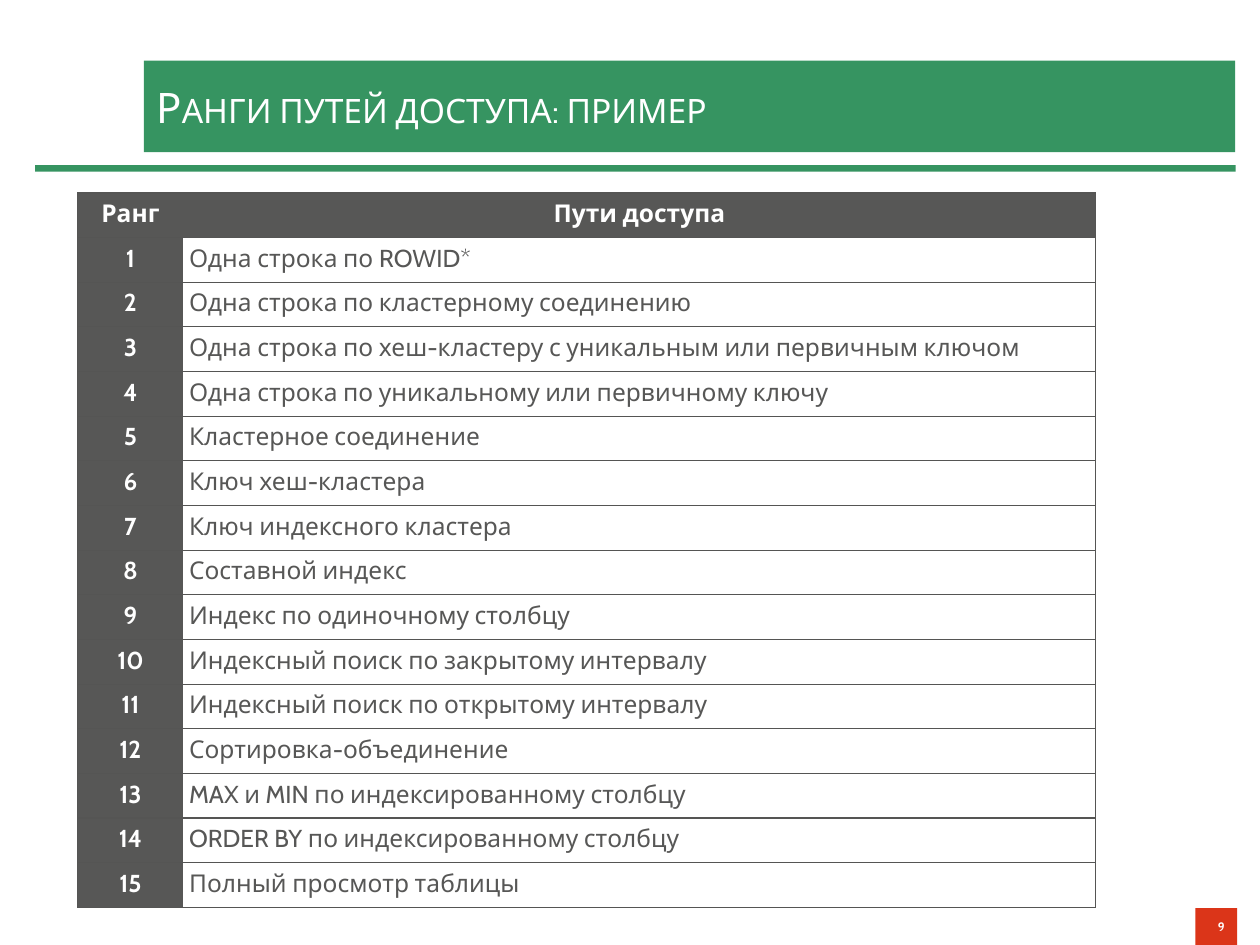
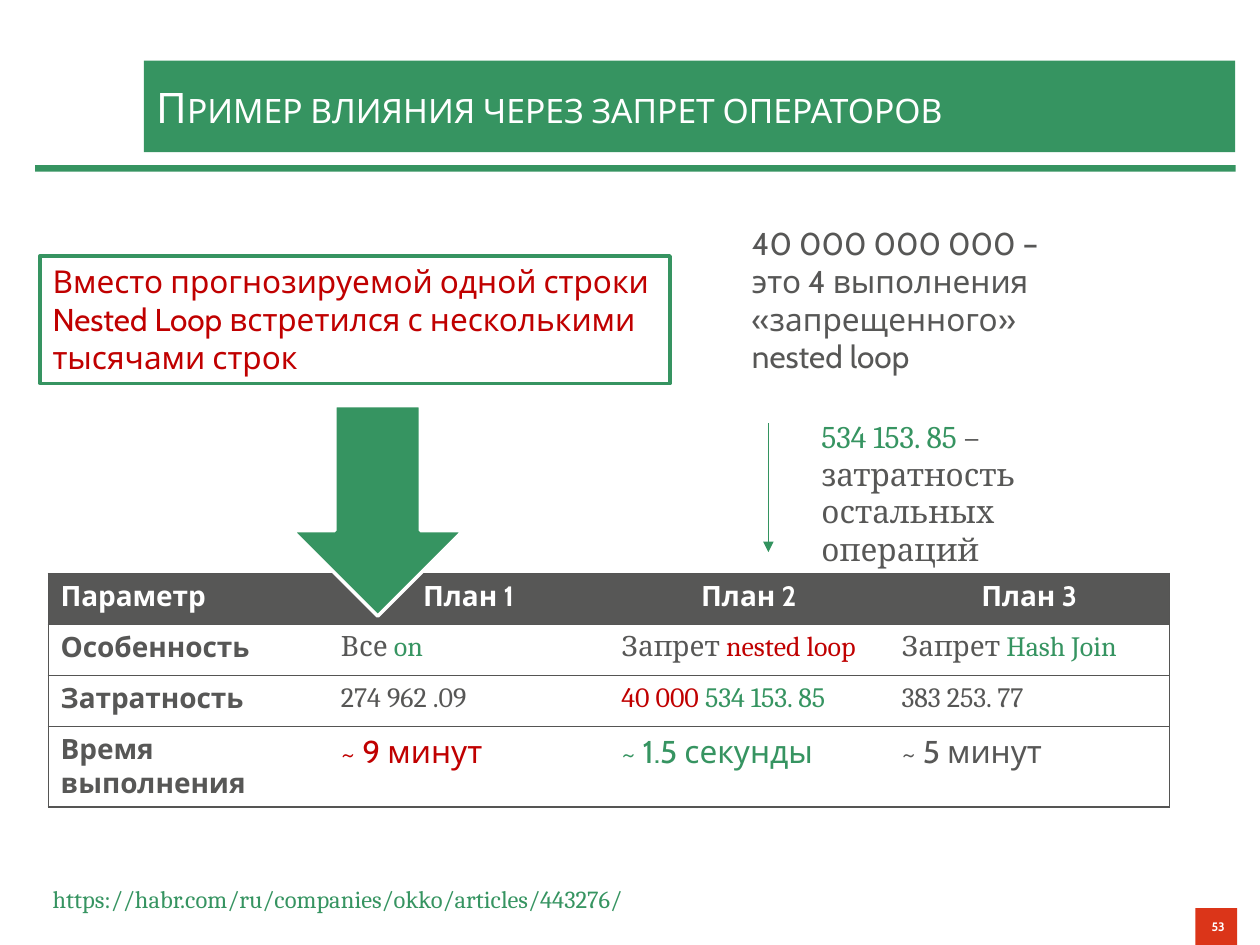
import pptx
import pptx.util
import pptx.dml.color
import pptx.enum.shapes
import pptx.enum.text
import pptx.oxml
import pptx.oxml.ns
import lxml.etree

Cm, Pt = pptx.util.Cm, pptx.util.Pt
ALIGN = pptx.enum.text.PP_ALIGN
ANCHOR = pptx.enum.text.MSO_ANCHOR
SHAPE = pptx.enum.shapes.MSO_SHAPE

COLORS = {
    "green": "369461",
    "arrow": "33935F",
    "page": "DB3519",
    "alert": "C00000",
    "text": "575756",
    "border": "555554",
    "white": "FFFFFF",
}
SANS, SERIF = "Cabin", "Cambria"
NO_STYLE_TABLE = "{2D5ABB26-0587-4C30-8999-92F81FD0307C}"

ACCESS_PATHS = [
    "Одна строка по ROWID*",
    "Одна строка по кластерному соединению",
    "Одна строка по хеш-кластеру с уникальным или первичным ключом",
    "Одна строка по уникальному или первичному ключу",
    "Кластерное соединение",
    "Ключ хеш-кластера",
    "Ключ индексного кластера",
    "Составной индекс",
    "Индекс по одиночному столбцу",
    "Индексный поиск по закрытому интервалу",
    "Индексный поиск по открытому интервалу",
    "Сортировка-объединение",
    "MAX и MIN по индексированному столбцу",
    "ORDER BY по индексированному столбцу",
    "Полный просмотр таблицы",
]

# Each plan value is a list of (text, colour) runs
PLAN_ROWS = [
    ("Особенность", SERIF, 16, [
        [("Все ", "text"), ("on", "green")],
        [("Запрет ", "text"), ("nested loop", "alert")],
        [("Запрет ", "text"), ("Hash Join", "green")],
    ]),
    ("Затратность", SERIF, 16, [
        [("274 962 .09", "text")],
        [("40 000 ", "alert"), ("534 153. 85", "green")],
        [("383 253. 77", "text")],
    ]),
    ("Время выполнения", SANS, 18, [
        [("~ 9 минут", "alert")],
        [("~ 1.5 секунды", "green")],
        [("~ 5 минут", "text")],
    ]),
]


def rgb(name):
    return pptx.dml.color.RGBColor.from_string(COLORS[name])


def place(box):
    return [Cm(length) for length in box]


def write(frame, runs, size, font=SANS, bold=False, align=ALIGN.LEFT):
    """Fill the first paragraph with (text, colour) runs; "\\n" is a line break."""
    frame.word_wrap = True
    paragraph = frame.paragraphs[0]
    paragraph.alignment = align
    for text, color in runs:
        if text == "\n":
            paragraph.add_line_break()
            continue
        run = paragraph.add_run()
        run.text = text
        run.font.name = font
        run.font.size = Pt(size)
        run.font.bold = bold
        run.font.color.rgb = rgb(color)


def add_block(slide, box, fill, line=None, kind=SHAPE.RECTANGLE):
    block = slide.shapes.add_shape(kind, *place(box))
    block.shadow.inherit = False
    block.fill.solid()
    block.fill.fore_color.rgb = rgb(fill)
    if line:
        block.line.color.rgb = rgb(line)
        block.line.width = Pt(2)
    else:
        block.line.fill.background()
    return block


def add_note(slide, box, runs, size=18, font=SANS):
    note = slide.shapes.add_textbox(*place(box))
    write(note.text_frame, runs, size, font)


# Shared frame: title band, rule, page number
def add_framed_slide(deck, title, page):
    slide = deck.slides.add_slide(deck.slide_layouts[5])
    add_block(slide, (0.71, 3.33, 24.2, 0.13), "green")

    band = slide.shapes.title
    band.left, band.top, band.width, band.height = place((2.9, 1.22, 22, 1.85))
    band.fill.solid()
    band.fill.fore_color.rgb = rgb("green")
    frame = band.text_frame
    frame.auto_size = pptx.enum.text.MSO_AUTO_SIZE.NONE
    frame.vertical_anchor = ANCHOR.MIDDLE
    frame.margin_top = frame.margin_bottom = Cm(0.3)
    write(frame, [(title, "white")], 24)
    frame.paragraphs[0].runs[0].font._element.set("cap", "small")

    badge = add_block(slide, (24.1, 18.31, 0.84, 0.74), "page")
    badge.text_frame.vertical_anchor = ANCHOR.MIDDLE
    write(badge.text_frame, [(str(page), "white")], 7, bold=True, align=ALIGN.RIGHT)
    return slide


# Tables: horizontal rules everywhere, vertical rules on the outside only
def add_grid(slide, left, top, widths, heights):
    box = (left, top, sum(widths), sum(heights))
    grid = slide.shapes.add_table(len(heights), len(widths), *place(box)).table
    grid.horz_banding = False
    grid._tbl.tblPr.find(pptx.oxml.ns.qn("a:tableStyleId")).text = NO_STYLE_TABLE
    for column, width in zip(grid.columns, widths):
        column.width = Cm(width)
    for row, height in zip(grid.rows, heights):
        row.height = Cm(height)
        for index, cell in enumerate(row.cells):
            sides = "L" * (index == 0) + "R" * (index == len(widths) - 1) + "TB"
            add_borders(cell, sides)
    return grid


def add_borders(cell, sides):
    properties = cell._tc.get_or_add_tcPr()
    for side in sides:
        properties.append(pptx.oxml.parse_xml(
            f'<a:ln{side} {pptx.oxml.ns.nsdecls("a")} w="{Pt(0.75)}"><a:solidFill>'
            f'<a:srgbClr val="{COLORS["border"]}"/></a:solidFill></a:ln{side}>'))


def write_dark(cell, text, size, align=ALIGN.CENTER):
    cell.fill.solid()
    cell.fill.fore_color.rgb = rgb("text")
    write(cell.text_frame, [(text, "white")], size, bold=True, align=align)


def add_rank_table(slide, left, top):
    grid = add_grid(slide, left, top, [2.12, 18.4], [0.9] * (len(ACCESS_PATHS) + 1))
    for cell in grid.iter_cells():
        cell.margin_left = cell.margin_right = Cm(0.12)
        cell.margin_top = cell.margin_bottom = Cm(0.12)
    for column, heading in enumerate(["Ранг", "Пути доступа"]):
        write_dark(grid.cell(0, column), heading, 14)
    for rank, access_path in enumerate(ACCESS_PATHS, start=1):
        write_dark(grid.cell(rank, 0), str(rank), 14)
        write(grid.cell(rank, 1).text_frame, [(access_path, "text")], 14)


def add_plan_table(slide, left, top):
    grid = add_grid(slide, left, top, [5.65] * 4, [1.03] * 3 + [1.61])
    write_dark(grid.cell(0, 0), "Параметр", 16, ALIGN.LEFT)
    for plan in range(1, 4):
        write_dark(grid.cell(0, plan), f"План {plan}", 16)
    for row, (parameter, font, size, values) in enumerate(PLAN_ROWS, start=1):
        write(grid.cell(row, 0).text_frame, [(parameter, "text")], 16, bold=True)
        for plan, runs in enumerate(values, start=1):
            write(grid.cell(row, plan).text_frame, runs, size, font)


# Left: why plan 1 is slow, with a block arrow to its column
def add_plan1_warning(slide, left, top):
    warning = add_block(slide, (left, top, 12.7, 2.57), "white", "green")
    warning.text_frame.vertical_anchor = ANCHOR.TOP
    write(warning.text_frame, [(
        "Вместо прогнозируемой одной строки Nested Loop встретился "
        "с несколькими тысячами строк", "alert")], 18)
    add_block(slide, (left + 5.08, top + 3.02, 3.45, 4.24), "green", "white",
              SHAPE.DOWN_ARROW)


# Right: how the cost of plan 2 adds up, with a thin arrow to its column
def add_plan2_cost(slide, left, top):
    x = left + 0.58
    pointer = slide.shapes.add_connector(
        pptx.enum.shapes.MSO_CONNECTOR.STRAIGHT,
        *place((x, top + 4.14, x, top + 6.74)))
    pointer.line.color.rgb = rgb("arrow")
    pointer.line.width = Pt(0.75)
    outline = pointer.line._get_or_add_ln()
    lxml.etree.SubElement(outline, pptx.oxml.ns.qn("a:tailEnd"), type="triangle")
    lxml.etree.SubElement(pointer._element.spPr, pptx.oxml.ns.qn("a:effectLst"))

    add_note(slide, (left, top, 7.19, 3.33), [
        ("40 000 000 000 – ", "text"), ("\n", "text"),
        ("это 4 выполнения «запрещенного» nested loop", "text")])
    add_note(slide, (left + 1.4, top + 3.89, 7.19, 2.57), [
        ("534 153. 85 ", "green"),
        ("– затратность остальных операций", "text")], font=SERIF)


def main():
    deck = pptx.Presentation()
    deck.slide_width, deck.slide_height = Cm(25.4), Cm(19.05)

    ranks = add_framed_slide(deck, "Ранги путей доступа: пример", 9)
    add_rank_table(ranks, 1.57, 3.89)

    plans = add_framed_slide(deck, "Пример влияния через запрет операторов", 53)
    add_plan_table(plans, 0.97, 11.56)
    add_note(plans, (0.81, 17.7, 15.67, 0.86),
             [("https://habr.com/ru/companies/okko/articles/443276/", "green")],
             14, SERIF)
    add_plan1_warning(plans, 0.81, 5.16)
    add_plan2_cost(plans, 14.91, 4.39)

    deck.save("out.pptx")


if __name__ == "__main__":
    main()
